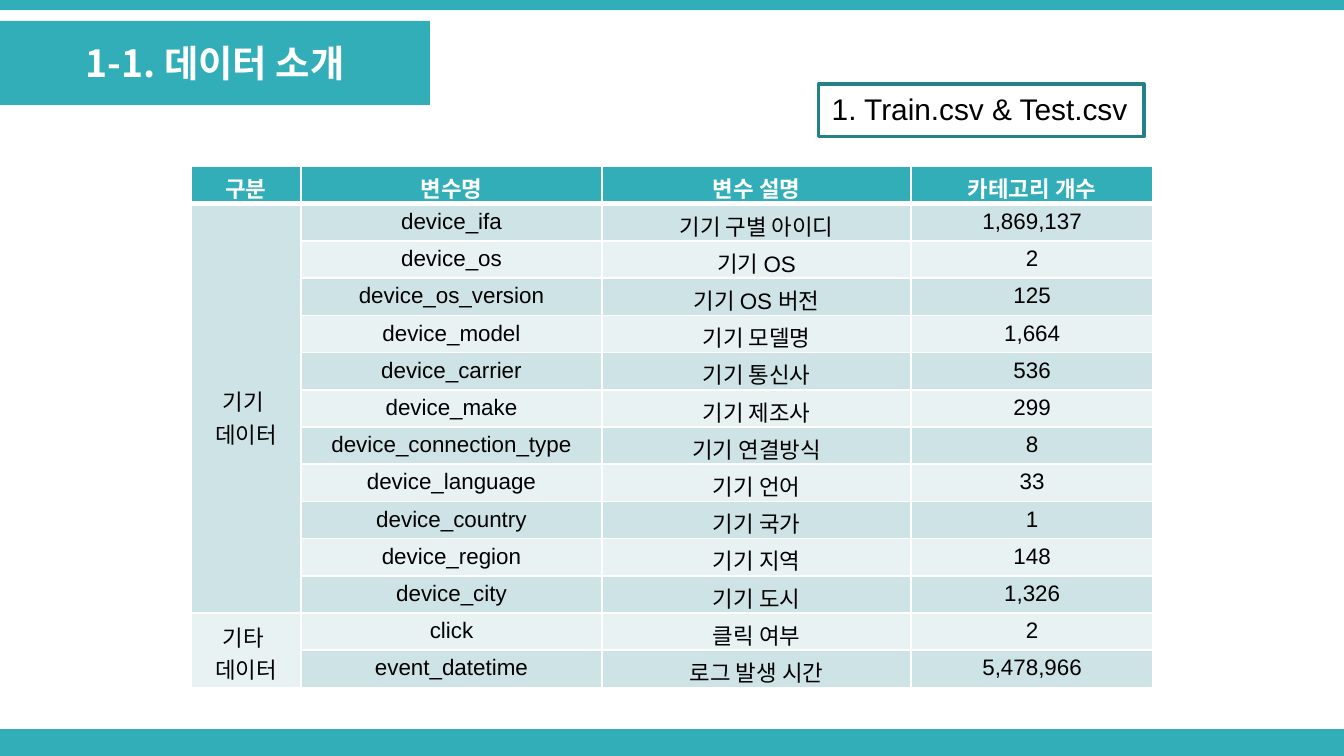
from dataclasses import dataclass

from lxml import etree
from pptx import Presentation
from pptx.dml.color import RGBColor
from pptx.enum.shapes import MSO_SHAPE
from pptx.enum.text import MSO_ANCHOR, PP_ALIGN
from pptx.oxml.ns import qn
from pptx.util import Inches, Pt

RECTANGLE = MSO_SHAPE.RECTANGLE
LEFT, CENTER = PP_ALIGN.LEFT, PP_ALIGN.CENTER
TOP, MIDDLE = MSO_ANCHOR.TOP, MSO_ANCHOR.MIDDLE

COLORS = {
    "teal": "32AEB8",
    "dark_teal": "258188",
    "band_dark": "CEE3E6",
    "band_light": "E8F2F3",
    "white": "FFFFFF",
    "black": "000000",
}
LATIN_FONT = "Arial"
KOREAN_FONT = "Noto Sans CJK KR"
SLIDE_WIDTH = Inches(10)
SLIDE_HEIGHT = SLIDE_WIDTH * 9 // 16
GRID = SLIDE_WIDTH // 100  # the slide is 100 columns by 56.25 rows


@dataclass(frozen=True)
class Area:
    """A place on the slide, in grid columns and rows."""

    left: float
    top: float
    width: float
    height: float

    def lengths(self) -> list[int]:
        return [round(value * GRID) for value in (self.left, self.top, self.width, self.height)]


@dataclass(frozen=True)
class Variable:
    name: str
    description: str
    categories: str


@dataclass(frozen=True)
class Group:
    lines: tuple[str, ...]
    variables: tuple[Variable, ...]
    margin_top: float = 0.04


TOP_BAR = Area(0, 0, 100, 0.75)
BOTTOM_BAR = Area(0, 54.25, 100, 2)
TITLE = Area(0, 1.55, 32, 6.25)
FILES_TEXT = Area(60.9, 6.25, 25, 3.7)
FILES_FRAME = Area(60.9, 6.25, 24.2, 3.9)
TABLE = Area(14.2, 12.4, 71.6, 38.8)
COLUMN_WIDTHS = (8.2, 22.4, 23, 18)

HEADINGS = ("구분", "변수명", "변수 설명", "카테고리 개수")
GROUPS = (
    Group(("기기 ", "데이터"), (
        Variable("device_ifa", "기기 구별 아이디", "1,869,137"),
        Variable("device_os", "기기 OS", "2"),
        Variable("device_os_version", "기기 OS 버전", "125"),
        Variable("device_model", "기기 모델명", "1,664"),
        Variable("device_carrier", "기기 통신사", "536"),
        Variable("device_make", "기기 제조사", "299"),
        Variable("device_connection_type", "기기 연결방식", "8"),
        Variable("device_language", "기기 언어", "33"),
        Variable("device_country", "기기 국가", "1"),
        Variable("device_region", "기기 지역", "148"),
        Variable("device_city", "기기 도시", "1,326"),
    ), margin_top=0.13),
    Group(("기타 ", "데이터"), (
        Variable("click", "클릭 여부", "2"),
        Variable("event_datetime", "로그 발생 시간", "5,478,966"),
    )),
)


def color(name: str) -> RGBColor:
    return RGBColor.from_string(COLORS[name])


def write_text(text_frame, *lines: str, size: float = 12, font: str = LATIN_FONT,
               ink: str = "black", bold: bool = False, align=CENTER) -> None:
    for index, line in enumerate(lines):
        paragraph = text_frame.add_paragraph() if index else text_frame.paragraphs[0]
        paragraph.alignment = align
        run = paragraph.add_run()
        run.text = line
        run.font.size = Pt(size)
        run.font.name = font
        run.font.bold = bold
        run.font.color.rgb = color(ink)
        east_asian = etree.SubElement(run.font._element, qn("a:ea"))
        east_asian.set("typeface", KOREAN_FONT)


def add_rectangle(slide, area: Area, fill: str | None = None, line: str | None = None):
    shape = slide.shapes.add_shape(RECTANGLE, *area.lengths())
    shape.shadow.inherit = False
    if fill:
        shape.fill.solid()
        shape.fill.fore_color.rgb = color(fill)
    else:
        shape.fill.background()
    if line:
        shape.line.color.rgb = color(line)
        shape.line.width = Pt(2)
    else:
        shape.line.fill.background()
    return shape


def set_borders(cell, top: float = 1, bottom: float = 1) -> None:
    """Draw white borders; widths are in points."""
    properties = cell._tc.get_or_add_tcPr()
    for side, width in (("L", 1), ("R", 1), ("T", top), ("B", bottom)):
        border = etree.SubElement(properties, qn(f"a:ln{side}"), w=str(Pt(width)))
        fill = etree.SubElement(border, qn("a:solidFill"))
        etree.SubElement(fill, qn("a:srgbClr"), val=COLORS["white"])


def style_cell(cell, row: int) -> None:
    set_borders(cell, top=3 if row == 1 else 1, bottom=3 if row == 0 else 1)
    cell.fill.solid()
    band = "band_dark" if row % 2 else "band_light"
    cell.fill.fore_color.rgb = color(band if row else "teal")
    cell.margin_left = cell.margin_right = Inches(0.08)
    cell.margin_top = Inches(0.04)
    cell.margin_bottom = 0
    cell.vertical_anchor = TOP


def add_variable_table(slide) -> None:
    row_count = 1 + sum(len(group.variables) for group in GROUPS)
    table = slide.shapes.add_table(row_count, len(HEADINGS), *TABLE.lengths()).table
    table.horz_banding = False
    for column, width in zip(table.columns, COLUMN_WIDTHS):
        column.width = round(width * GRID)
    for index, row in enumerate(table.rows):
        row.height = round(TABLE.height * GRID / row_count)
        for cell in row.cells:
            style_cell(cell, index)

    for index, heading in enumerate(HEADINGS):
        write_text(table.cell(0, index).text_frame, heading, ink="white", bold=True)

    first_row = 1
    for group in GROUPS:
        next_row = first_row + len(group.variables)
        group_cell = table.cell(first_row, 0)
        group_cell.merge(table.cell(next_row - 1, 0))
        group_cell.vertical_anchor = MIDDLE
        group_cell.margin_top = Inches(group.margin_top)
        write_text(group_cell.text_frame, *group.lines)
        for row, variable in enumerate(group.variables, first_row):
            values = (variable.name, variable.description, variable.categories)
            for column, value in enumerate(values, 1):
                write_text(table.cell(row, column).text_frame, value)
        first_row = next_row


def main() -> None:
    presentation = Presentation()
    presentation.slide_width = SLIDE_WIDTH
    presentation.slide_height = SLIDE_HEIGHT
    slide = presentation.slides.add_slide(presentation.slide_layouts[6])

    for bar in (BOTTOM_BAR, TOP_BAR):
        add_rectangle(slide, bar, fill="teal")

    title = add_rectangle(slide, TITLE, fill="teal")
    title.text_frame.vertical_anchor = MIDDLE
    write_text(title.text_frame, "1-1. 데이터 소개", size=20, font=KOREAN_FONT,
               ink="white", bold=True)

    files = slide.shapes.add_textbox(*FILES_TEXT.lengths())
    files.text_frame.word_wrap = True
    write_text(files.text_frame, "1. Train.csv & Test.csv", size=16, align=LEFT)
    add_rectangle(slide, FILES_FRAME, line="dark_teal")

    add_variable_table(slide)
    presentation.save("out.pptx")


if __name__ == "__main__":
    main()
